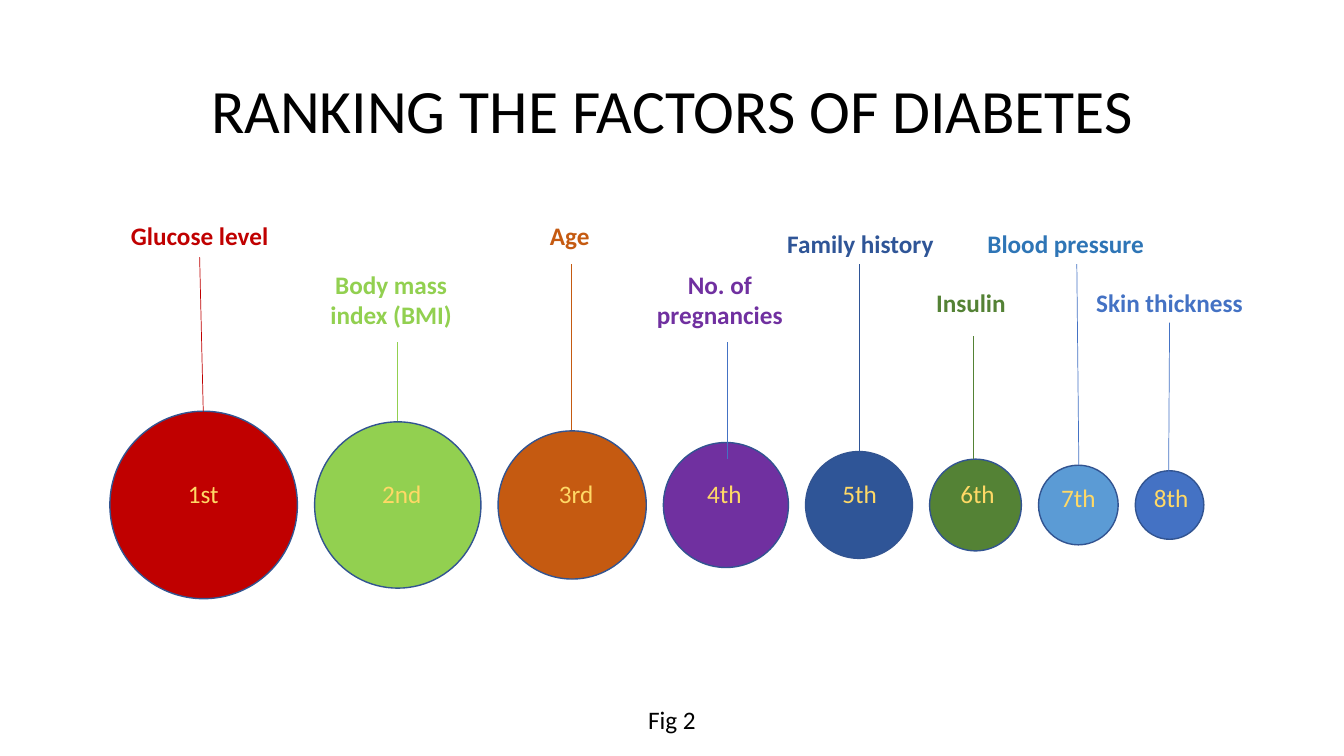
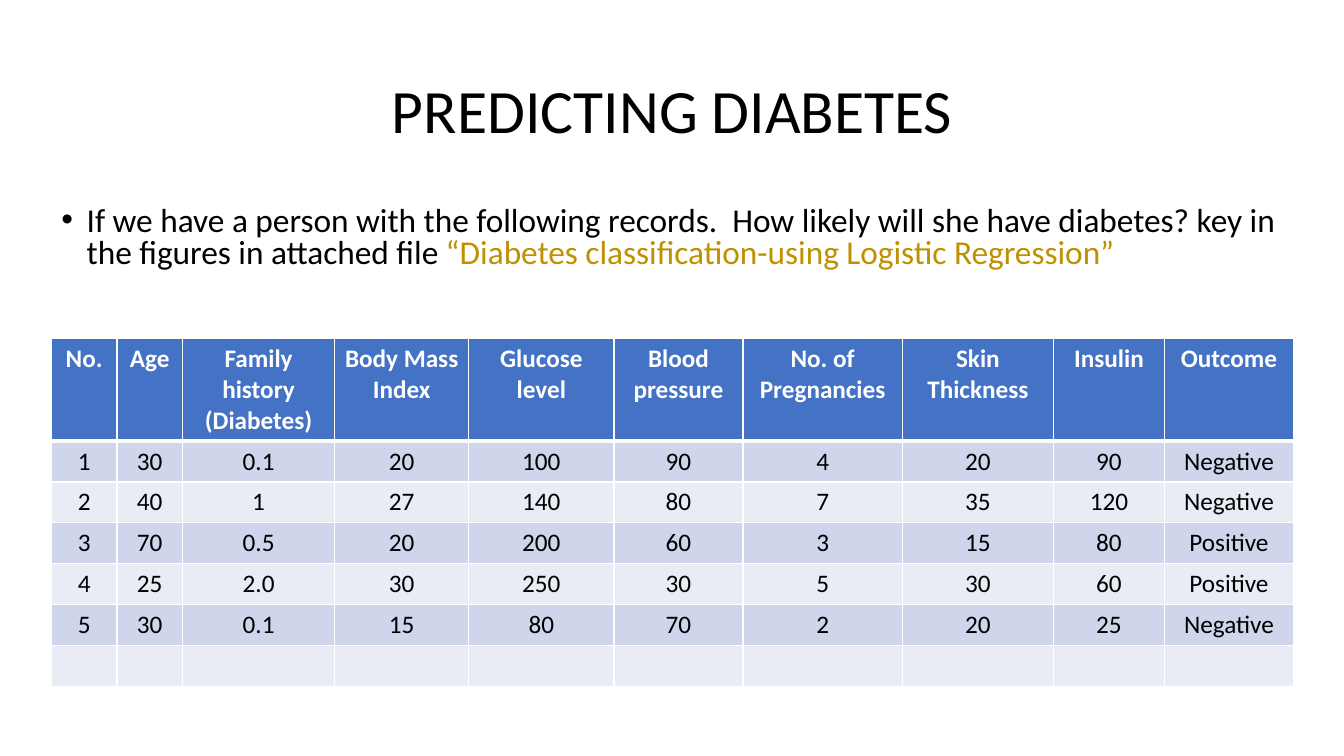
from dataclasses import dataclass
from typing import NamedTuple

from lxml.etree import SubElement
from pptx import Presentation
from pptx.dml.color import RGBColor
from pptx.enum.shapes import MSO_CONNECTOR, MSO_SHAPE
from pptx.enum.text import MSO_ANCHOR, MSO_AUTO_SIZE, PP_ALIGN
from pptx.oxml.ns import qn
from pptx.util import Inches, Pt

# Shared look
FONT = "Calibri"
BLACK, WHITE = "000000", "FFFFFF"
BLUE, GOLD, RANK_YELLOW = "4472C4", "BF9000", "FFD966"
OUTLINE = "325491"
BANDS = ("CFD5EA", "E9EBF5")
TEXT_SIZE, TITLE_SIZE = 18, 44
TITLE_ONLY, TITLE_AND_CONTENT = 5, 1


class Box(NamedTuple):
    left: float
    top: float
    width: float
    height: float


class Point(NamedTuple):
    x: float
    y: float


@dataclass
class Factor:
    name: str
    rank: str
    diameter: float
    color: str
    label_color: str
    stem_color: str
    label: Box
    stem_start: Point
    stem_end: Point
    rank_place: Point
    align: PP_ALIGN = PP_ALIGN.CENTER


TITLE_BOX = Box(0.92, 0.4, 11.5, 1.45)


# Helpers
def rgb(color: str) -> RGBColor:
    return RGBColor.from_string(color)


def place(shape, box: Box) -> None:
    shape.left, shape.top, shape.width, shape.height = map(Inches, box)


def add_span(para, text: str, color: str, size: float = TEXT_SIZE, bold: bool = False) -> None:
    span = para.add_run()
    span.text = text
    span.font.name = FONT
    span.font.size = Pt(size)
    span.font.bold = bold
    span.font.color.rgb = rgb(color)


def add_text(page, box: Box, text: str, color: str, bold: bool = False,
             align: PP_ALIGN = PP_ALIGN.CENTER) -> None:
    frame = page.shapes.add_textbox(*map(Inches, box)).text_frame
    frame.word_wrap = True
    para = frame.paragraphs[0]
    para.alignment = align
    add_span(para, text, color, bold=bold)


def add_page(deck, layout: int, title: str):
    page = deck.slides.add_slide(deck.slide_layouts[layout])
    place(page.shapes.title, TITLE_BOX)
    frame = page.shapes.title.text_frame
    frame.auto_size = MSO_AUTO_SIZE.NONE
    frame.vertical_anchor = MSO_ANCHOR.MIDDLE
    para = frame.paragraphs[0]
    para.alignment = PP_ALIGN.CENTER
    para.line_spacing = 0.9
    add_span(para, title, BLACK, TITLE_SIZE)
    return page


def add_circle(page, box: Box, color: str) -> None:
    circle = page.shapes.add_shape(MSO_SHAPE.OVAL, *map(Inches, box))
    circle.shadow.inherit = False
    circle.fill.solid()
    circle.fill.fore_color.rgb = rgb(color)
    circle.line.color.rgb = rgb(OUTLINE)
    circle.line.width = Pt(1)


def add_stem(page, start: Point, end: Point, color: str) -> None:
    stem = page.shapes.add_connector(MSO_CONNECTOR.STRAIGHT, *map(Inches, start + end))
    stem.line.color.rgb = rgb(color)
    stem.line.width = Pt(0.5)
    SubElement(stem._element.spPr, qn("a:effectLst"))


def add_borders(cell, top: float, bottom: float) -> None:
    properties = cell._tc.get_or_add_tcPr()
    for side, width in (("L", 1), ("R", 1), ("T", top), ("B", bottom)):
        border = SubElement(properties, qn(f"a:ln{side}"), w=str(Pt(width)))
        fill = SubElement(border, qn("a:solidFill"))
        SubElement(fill, qn("a:srgbClr"), val=WHITE)


# Slide 1: ranked factors
CIRCLE_LEFT, CIRCLE_GAP, CIRCLE_MIDDLE = 1.09, 0.17, 5.01
RANK_WIDTH, LINE_HEIGHT = 0.71, 0.4


def label_box(left: float, top: float, height: float = LINE_HEIGHT) -> Box:
    return Box(left, top, 1.84, height)


FACTORS = [
    Factor("Glucose level", "1st", 1.86, "C00000", "C00000", "C00000",
           label_box(1.06, 2.14), Point(2.02, 4.24), Point(1.98, 2.55), Point(1.66, 4.7)),
    Factor("Body mass index (BMI)", "2nd", 1.65, "92D050", "92D050", "92D050",
           label_box(2.96, 2.62, 0.71), Point(3.94, 4.18), Point(3.94, 3.39), Point(3.63, 4.7)),
    Factor("Age", "3rd", 1.47, "C55A11", "C55A11", "C55A11",
           label_box(4.73, 2.14), Point(5.67, 4.27), Point(5.67, 2.62), Point(5.36, 4.7)),
    Factor("No. of pregnancies", "4th", 1.24, "7030A0", "7030A0", BLUE,
           label_box(6.22, 2.62, 0.71), Point(7.21, 4.55), Point(7.21, 3.39), Point(6.83, 4.7)),
    Factor("Family history", "5th", 1.06, "2F5597", "2F5597", "2F5597",
           label_box(7.71, 2.22), Point(8.52, 4.61), Point(8.52, 2.62), Point(8.17, 4.7),
           PP_ALIGN.LEFT),
    Factor("Insulin", "6th", 0.91, "548235", "548235", "548235",
           label_box(8.71, 2.8), Point(9.65, 4.55), Point(9.65, 3.33), Point(9.34, 4.7)),
    Factor("Blood pressure", "7th", 0.79, "5B9BD5", "2E75B6", BLUE,
           label_box(9.65, 2.22), Point(10.7, 4.61), Point(10.68, 2.62), Point(10.34, 4.74)),
    Factor("Skin thickness", "8th", 0.68, BLUE, BLUE, BLUE,
           label_box(10.68, 2.8), Point(11.59, 4.84), Point(11.6, 3.2), Point(11.26, 4.74)),
]


def build_ranking(deck) -> None:
    page = add_page(deck, TITLE_ONLY, "RANKING THE FACTORS OF DIABETES")
    left = CIRCLE_LEFT
    for factor in FACTORS:
        size = factor.diameter
        add_circle(page, Box(left, CIRCLE_MIDDLE - size / 2, size, size), factor.color)
        add_text(page, factor.label, factor.name, factor.label_color, True, factor.align)
        add_stem(page, factor.stem_start, factor.stem_end, factor.stem_color)
        add_text(page, Box(*factor.rank_place, RANK_WIDTH, LINE_HEIGHT), factor.rank, RANK_YELLOW)
        left += size + CIRCLE_GAP
    add_text(page, Box(0, 6.94, 13.33, LINE_HEIGHT), "Fig 2", BLACK)


# Slide 2: records table
COLUMN_WIDTHS = (0.65, 0.65, 1.51, 1.33, 1.44, 1.28, 1.58, 1.5, 1.1, 1.28)
HEADER_HEIGHT, ROW_HEIGHT = 0.95, 0.38
RECORDS = [
    ("No.", "Age", "Family history (Diabetes)", "Body Mass\nIndex", "Glucose level",
     "Blood pressure", "No. of Pregnancies", "Skin Thickness", "Insulin", "Outcome"),
    ("1", "30", "0.1", "20", "100", "90", "4", "20", "90", "Negative"),
    ("2", "40", "1", "27", "140", "80", "7", "35", "120", "Negative"),
    ("3", "70", "0.5", "20", "200", "60", "3", "15", "80", "Positive"),
    ("4", "25", "2.0", "30", "250", "30", "5", "30", "60", "Positive"),
    ("5", "30", "0.1", "15", "80", "70", "2", "20", "25", "Negative"),
    ("",) * len(COLUMN_WIDTHS),
]


def fill_cell(cell, text: str, row: int) -> None:
    header = row == 0
    add_borders(cell, top=3 if row == 1 else 1, bottom=3 if header else 1)
    cell.fill.solid()
    cell.fill.fore_color.rgb = rgb(BLUE if header else BANDS[(row - 1) % 2])
    if not text:
        return
    frame = cell.text_frame
    for index, line in enumerate(text.split("\n")):
        para = frame.add_paragraph() if index else frame.paragraphs[0]
        para.alignment = PP_ALIGN.CENTER
        add_span(para, line, WHITE if header else BLACK, bold=header)


def add_records(page) -> None:
    height = HEADER_HEIGHT + ROW_HEIGHT * (len(RECORDS) - 1)
    box = Box(0.51, 3.36, sum(COLUMN_WIDTHS), height)
    table = page.shapes.add_table(len(RECORDS), len(COLUMN_WIDTHS), *map(Inches, box)).table
    for column, width in zip(table.columns, COLUMN_WIDTHS):
        column.width = Inches(width)
    for row, record in enumerate(RECORDS):
        table.rows[row].height = Inches(ROW_HEIGHT if row else HEADER_HEIGHT)
        for column, text in enumerate(record):
            fill_cell(table.cell(row, column), text, row)


def build_prediction(deck) -> None:
    page = add_page(deck, TITLE_AND_CONTENT, "PREDICTING DIABETES")
    body = page.placeholders[1]
    place(body, Box(0.51, 2, 12.31, 0.98))
    body.text_frame.auto_size = MSO_AUTO_SIZE.NONE
    para = body.text_frame.paragraphs[0]
    para.line_spacing = 0.8
    para.space_before = Pt(10)
    properties = para._p.get_or_add_pPr()
    properties.set("marL", str(Inches(0.25)))
    properties.set("indent", str(Inches(-0.25)))
    SubElement(properties, qn("a:buFont"), typeface="Arial")
    SubElement(properties, qn("a:buChar"), char="•")
    add_span(para, "If we have a person with the following records.  How likely will she have "
                   "diabetes? key in the figures in attached file ", BLACK, 23.8)
    add_span(para, "“Diabetes classification-using Logistic Regression”", GOLD, 23.8)
    add_records(page)


# Deck
deck = Presentation()
deck.slide_width, deck.slide_height = Inches(13.33), Inches(7.5)
build_ranking(deck)
build_prediction(deck)
deck.save("out.pptx")
